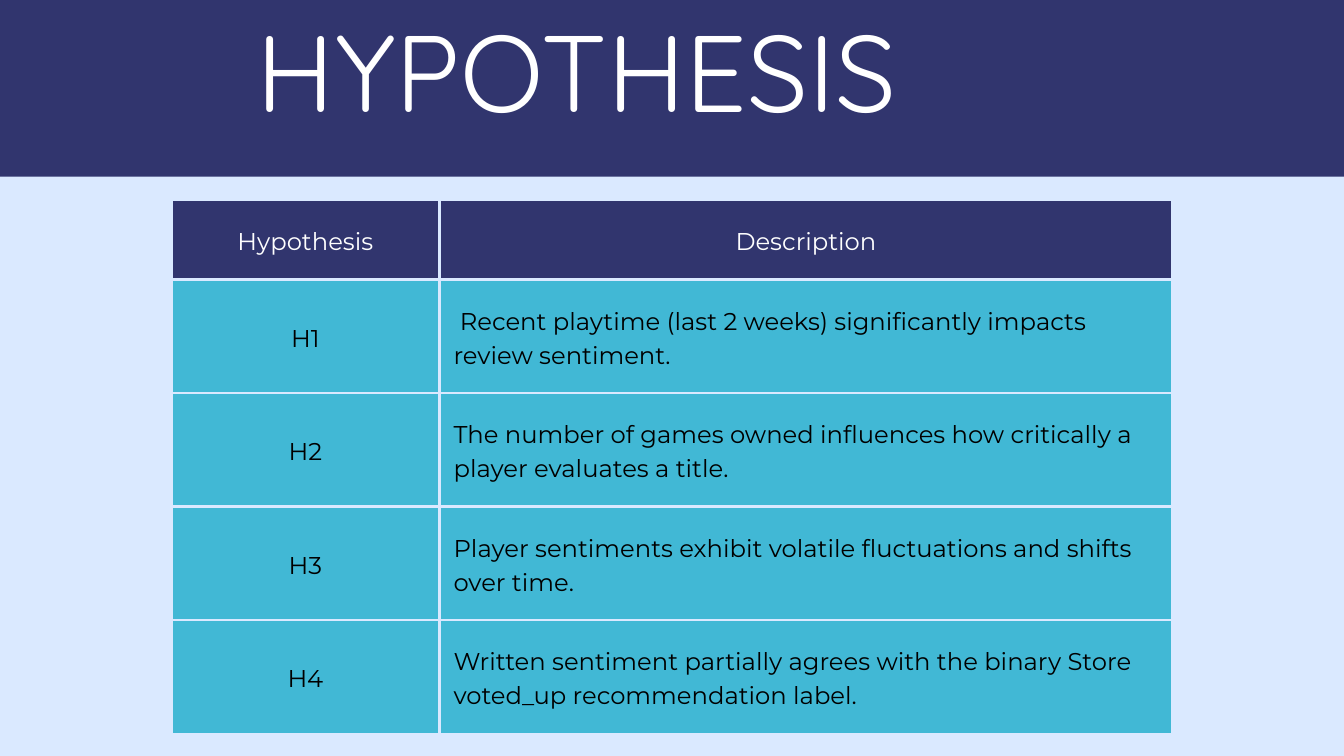
from lxml import etree
from pptx import Presentation
from pptx.dml.color import RGBColor
from pptx.enum.shapes import MSO_SHAPE
from pptx.enum.text import MSO_ANCHOR, PP_ALIGN
from pptx.oxml.ns import qn
from pptx.util import Inches, Pt

CENTER, LEFT = PP_ALIGN.CENTER, PP_ALIGN.LEFT
MIDDLE = MSO_ANCHOR.MIDDLE
RECTANGLE = MSO_SHAPE.RECTANGLE

TITLE = "HYPOTHESIS"
HEADER = ("Hypothesis", "Description")
HYPOTHESES = [
    ("H1", " Recent playtime (last 2 weeks) significantly impacts review sentiment."),
    ("H2", "The number of games owned influences how critically a player evaluates a title."),
    ("H3", "Player sentiments exhibit volatile fluctuations and shifts over time."),
    ("H4", "Written sentiment partially agrees with the binary Store voted_up recommendation label."),
]

THEME = {
    "background": "DAE9FF", "navy": "31356E", "cyan": "41B8D5",
    "light_text": "FFFFFF", "dark_text": "000000",
    "title_font": "Quicksand", "title_size": 116.4, "title_leading": 111.7,
    "body_font": "Montserrat", "body_size": 26, "body_leading": 36.4,
    "border_width": 3,
}

BAND = (-0.4, -0.68, 21.16, 3.31)
TITLE_BOX = (1.29, 0.45, 14.58, 1.64)
TABLE_LEFT, TABLE_TOP = 2.55, 2.98
COLUMN_WIDTHS = (3.99, 10.91)
HEADER_HEIGHT, ROW_HEIGHT = 1.18, 1.69
CELL_MARGIN = 0.21


def color(name):
    return RGBColor.from_string(THEME[name])


def fill_solid(target, name):
    target.fill.solid()
    target.fill.fore_color.rgb = color(name)


def write(text_frame, text, role, color_name, align):
    """Write one paragraph in the theme's "title" or "body" type."""
    paragraph = text_frame.paragraphs[0]
    paragraph.text = text
    paragraph.alignment = align
    paragraph.line_spacing = Pt(THEME[f"{role}_leading"])
    paragraph.font.name = THEME[f"{role}_font"]
    paragraph.font.size = Pt(THEME[f"{role}_size"])
    paragraph.font.color.rgb = color(color_name)


def set_borders(cell):
    """Draw all four borders; they must come before the fill in the XML."""
    properties = cell._tc.get_or_add_tcPr()
    for index, side in enumerate(("lnL", "lnR", "lnT", "lnB")):
        line = etree.Element(qn(f"a:{side}"), w=str(Pt(THEME["border_width"])))
        solid = etree.SubElement(line, qn("a:solidFill"))
        etree.SubElement(solid, qn("a:srgbClr"), val=THEME["background"])
        properties.insert(index, line)


def add_header_band(slide):
    band = slide.shapes.add_shape(RECTANGLE, *map(Inches, BAND))
    band.shadow.inherit = False
    fill_solid(band, "navy")
    band.line.fill.background()

    frame = slide.shapes.add_textbox(*map(Inches, TITLE_BOX)).text_frame
    frame.word_wrap = True
    frame.margin_left = frame.margin_right = 0
    frame.margin_top = frame.margin_bottom = 0
    write(frame, TITLE, "title", "light_text", CENTER)


def add_hypothesis_table(slide):
    rows = [HEADER, *HYPOTHESES]
    heights = [HEADER_HEIGHT] + [ROW_HEIGHT] * len(HYPOTHESES)
    table = slide.shapes.add_table(
        len(rows), len(HEADER), Inches(TABLE_LEFT), Inches(TABLE_TOP),
        Inches(sum(COLUMN_WIDTHS)), Inches(sum(heights)),
    ).table
    table.horz_banding = False
    table.first_row = False
    for column, width in zip(table.columns, COLUMN_WIDTHS):
        column.width = Inches(width)

    for r, (texts, height) in enumerate(zip(rows, heights)):
        table.rows[r].height = Inches(height)
        is_header = r == 0
        for c, text in enumerate(texts):
            cell = table.cell(r, c)
            cell.vertical_anchor = MIDDLE
            cell.margin_left = cell.margin_right = Inches(CELL_MARGIN)
            cell.margin_top = cell.margin_bottom = Inches(CELL_MARGIN)
            fill_solid(cell, "navy" if is_header else "cyan")
            set_borders(cell)
            write(cell.text_frame, text, "body",
                  "light_text" if is_header else "dark_text",
                  CENTER if is_header or c == 0 else LEFT)


def main():
    presentation = Presentation()
    presentation.slide_width = Inches(20)
    presentation.slide_height = Inches(11.25)
    slide = presentation.slides.add_slide(presentation.slide_layouts[6])
    fill_solid(slide.background, "background")
    add_header_band(slide)
    add_hypothesis_table(slide)
    presentation.save("out.pptx")


if __name__ == "__main__":
    main()
